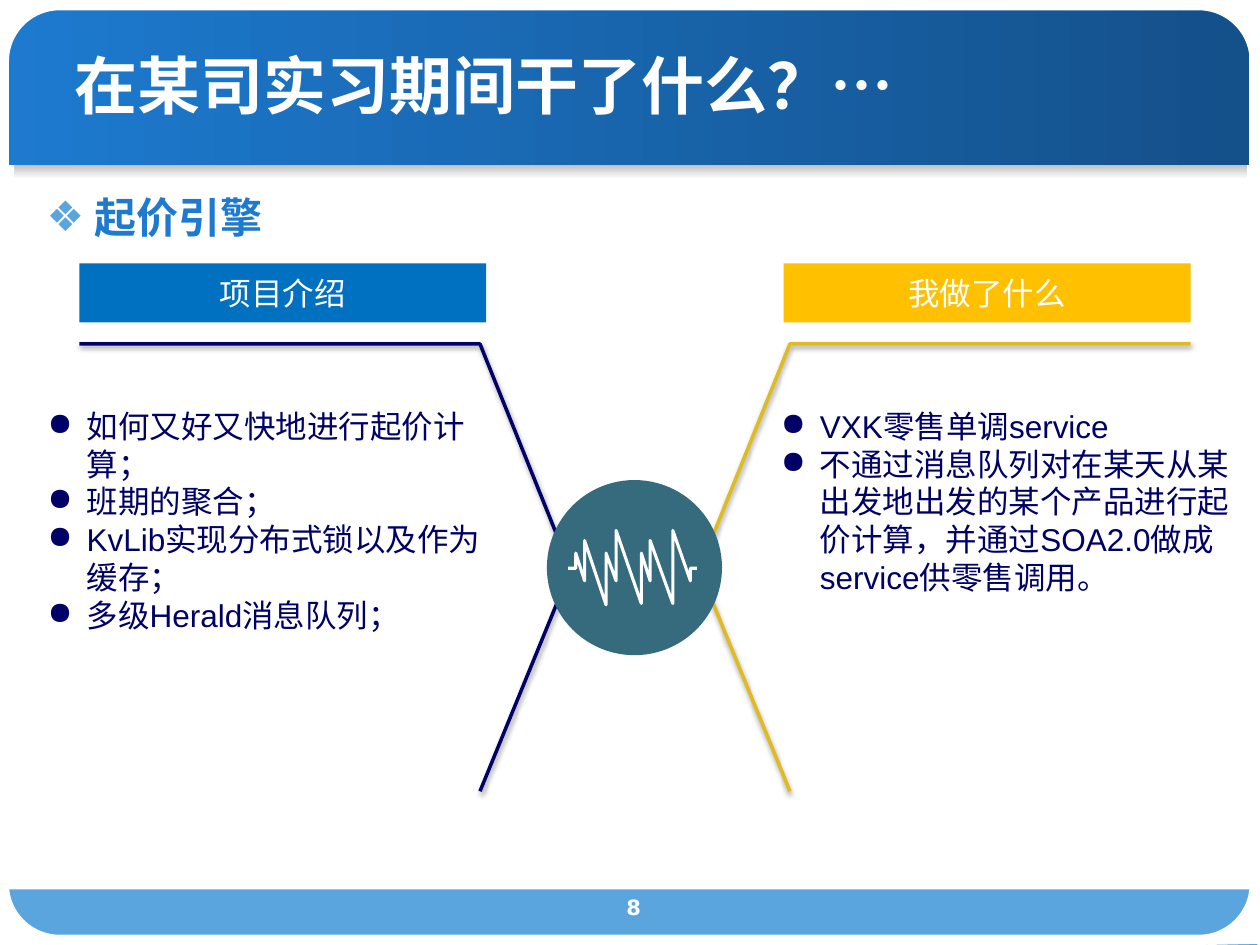
from pptx import Presentation
from pptx.dml.color import RGBColor
from pptx.enum.shapes import MSO_SHAPE
from pptx.enum.text import MSO_ANCHOR, PP_ALIGN
from pptx.oxml import parse_xml
from pptx.oxml.ns import nsdecls, qn
from pptx.util import Inches, Pt

THEME = {
    "white": "FFFFFF", "navy": "000066", "gold": "E0BB20", "blue": "1D7ACF",
    "deep": "14508A", "sky": "5AA5DE", "grey": "C0C0C0", "teal": "366B7E",
    "label_blue": "0070C0", "label_gold": "FFC000",
    "cjk": "Noto Sans CJK SC", "sans": "DejaVu Sans", "text": "Arial",
    "title_size": 36, "head_size": 24, "body_size": 18, "page_size": 12,
}

TITLE = "在某司实习期间干了什么？…"
HEADING = "起价引擎"
PAGE = "8"
COLUMNS = [
    {"label": "项目介绍", "fill": "label_blue", "line": "navy", "mirror": False,
     "box": (0.28, 3.18, 3.7, 1.92),
     "items": ["如何又好又快地进行起价计算；", "班期的聚合；",
               "KvLib实现分布式锁以及作为缓存；", "多级Herald消息队列；"]},
    {"label": "我做了什么", "fill": "label_gold", "line": "gold", "mirror": True,
     "box": (6.1, 3.18, 3.84, 1.92),
     "items": ["VXK零售单调service",
               "不通过消息队列对在某天从某出发地出发的某个产品进行起价计算，"
               "并通过SOA2.0做成service供零售调用。"]},
]
CORNERS = [
    [(-0.01, 0.49), (0.13, 0.25), (0.27, 0.06), (0.48, 0), (-0.02, 0)],
    [(0.42, 7.5), (0.2, 7.33), (0.04, 7.17), (-0.01, 6.92), (-0.01, 7.5)],
    [(10, 6.99), (9.88, 7.24), (9.75, 7.43), (9.57, 7.5), (10.01, 7.49)],
    [(9.5, 0), (9.75, 0.14), (9.94, 0.29), (10, 0.5), (10, 0)],
]
ARM = [(0.63, 2.73), (3.81, 2.73), (4.53, 4.52), (3.81, 6.28)]
WAVE = [(4.51, 4.51), (4.57, 4.51), (4.57, 4.39), (4.64, 4.61), (4.64, 4.29),
        (4.81, 4.8), (4.81, 4.39), (4.89, 4.61), (4.89, 4.21), (5.09, 4.79),
        (5.09, 4.39), (5.16, 4.61), (5.16, 4.29), (5.34, 4.79), (5.34, 4.21),
        (5.48, 4.61), (5.48, 4.51), (5.53, 4.51)]
CENTER_X = 5.04
LABEL = (0.63, 2.09, 3.23, 0.47)


def color(name):
    return RGBColor.from_string(THEME[name])


def paint(sp, fill=None, line=None, width=1):
    sp.shadow.inherit = False
    if fill:
        sp.fill.solid()
        sp.fill.fore_color.rgb = color(fill)
    else:
        sp.fill.background()
    if line:
        sp.line.color.rgb = color(line)
        sp.line.width = Pt(width)
    else:
        sp.line.fill.background()
    return sp


def add_preset(s, kind, box, **look):
    return paint(s.shapes.add_shape(kind, *map(Inches, box)), **look)


def add_gradient(s, box, stops, angle):
    sp = add_preset(s, MSO_SHAPE.RECTANGLE, box)
    sp.fill.gradient()
    sp.fill.gradient_angle = angle
    for stop, name in zip(sp.fill.gradient_stops, stops):
        stop.color.rgb = color(name)


def add_path(s, points, close=False, **look):
    pts = [(Inches(x), Inches(y)) for x, y in points]
    fb = s.shapes.build_freeform(*pts[0], scale=1.0)
    fb.add_line_segments(pts[1:], close=close)
    return paint(fb.convert_to_shape(), **look)


def add_shadow(sp):
    sp._element.spPr.find(qn("a:effectLst")).append(parse_xml(
        f'<a:outerShdw {nsdecls("a")} blurRad="{Pt(3.1)}" dist="{Pt(1.6)}" dir="5400000">'
        '<a:srgbClr val="000000"><a:alpha val="38000"/></a:srgbClr></a:outerShdw>'))


def write(sp, lines, size, font, ink, bold=False, align=PP_ALIGN.LEFT, hang=0,
          bullet=None, bullet_ink=None, before=0, **frame):
    tf = sp.text_frame
    for key, value in {"word_wrap": True, **frame}.items():
        setattr(tf, key, value)
    for i, text in enumerate(lines):
        p = tf.paragraphs[0] if i == 0 else tf.add_paragraph()
        p.alignment = align
        p.space_before = Pt(before)
        pPr = p._p.get_or_add_pPr()
        pPr.set("marL", str(Inches(hang)))
        pPr.set("indent", str(-Inches(hang)))
        if bullet:
            rgb = THEME[bullet_ink or ink]
            pPr.append(parse_xml(f'<a:buClr {nsdecls("a")}><a:srgbClr val="{rgb}"/></a:buClr>'))
            pPr.append(parse_xml(f'<a:buChar {nsdecls("a")} char="{bullet}"/>'))
        else:
            pPr.append(parse_xml(f'<a:buNone {nsdecls("a")}/>'))
        r = p.add_run()
        r.text = text
        r.font.color.rgb = color(ink)
        for key, value in {"size": Pt(THEME[size]), "bold": bold, "name": THEME[font]}.items():
            setattr(r.font, key, value)
        rPr = r._r.get_or_add_rPr()
        rPr.set("lang", "zh-CN")
        rPr.append(parse_xml(f'<a:ea {nsdecls("a")} typeface="{THEME["cjk"]}"/>'))


def place(s, sp, box):
    for key, value in zip(("left", "top", "width", "height"), box):
        setattr(sp, key, Inches(value))
    s.shapes._spTree.append(sp._element)
    return sp


def add_frame(s):
    add_gradient(s, (0, 0.01, 9.91, 1.3), ("blue", "deep"), 0)
    add_preset(s, MSO_SHAPE.RECTANGLE, (0, 7.06, 9.98, 0.44), fill="sky")
    add_gradient(s, (0.11, 1.31, 9.79, 0.11), ("grey", "white"), 270)
    border = add_preset(s, MSO_SHAPE.ROUNDED_RECTANGLE, (0.03, 0.04, 9.93, 7.42),
                        line="white", width=6)
    border.adjustments[0] = 0.06
    for points in CORNERS:
        add_path(s, points, close=True, fill="white")


def add_column(s, col):
    x, y, w, h = LABEL
    arm = ARM
    if col["mirror"]:
        x = 2 * CENTER_X - x - w
        arm = [(2 * CENTER_X - px, py) for px, py in ARM]
    add_shadow(add_path(s, arm, line=col["line"], width=2))
    label = add_preset(s, MSO_SHAPE.RECTANGLE, (x, y, w, h), fill=col["fill"])
    write(label, [col["label"]], "body_size", "cjk", "white", align=PP_ALIGN.CENTER,
          word_wrap=False, vertical_anchor=MSO_ANCHOR.MIDDLE,
          margin_left=0, margin_right=0, margin_top=0, margin_bottom=0)
    box = s.shapes.add_textbox(*map(Inches, col["box"]))
    write(box, col["items"], "body_size", "text", "navy", hang=0.31, bullet="●")


def main():
    prs = Presentation()
    prs.slide_width, prs.slide_height = Inches(10), Inches(7.5)
    s = prs.slides.add_slide(prs.slide_layouts[1])
    add_frame(s)
    title = place(s, s.shapes.title, (0.49, 0.36, 9.08, 0.62))
    write(title, [TITLE], "title_size", "cjk", "white", bold=True, hang=0.38,
          vertical_anchor=MSO_ANCHOR.MIDDLE)
    body = place(s, s.placeholders[1], (0.27, 1.47, 9.53, 4.88))
    write(body, [HEADING], "head_size", "sans", "blue", bold=True, hang=0.38,
          bullet="❖", bullet_ink="sky", before=4.8)
    page = s.shapes.add_textbox(*map(Inches, (4.53, 7.05, 1, 0.35)))
    write(page, [PAGE], "page_size", "sans", "white", bold=True, align=PP_ALIGN.CENTER)
    for col in COLUMNS:
        add_column(s, col)
    add_preset(s, MSO_SHAPE.OVAL, (4.34, 3.81, 1.39, 1.39), fill="teal")
    add_path(s, WAVE, line="white", width=1.75)
    prs.save("out.pptx")


if __name__ == "__main__":
    main()
